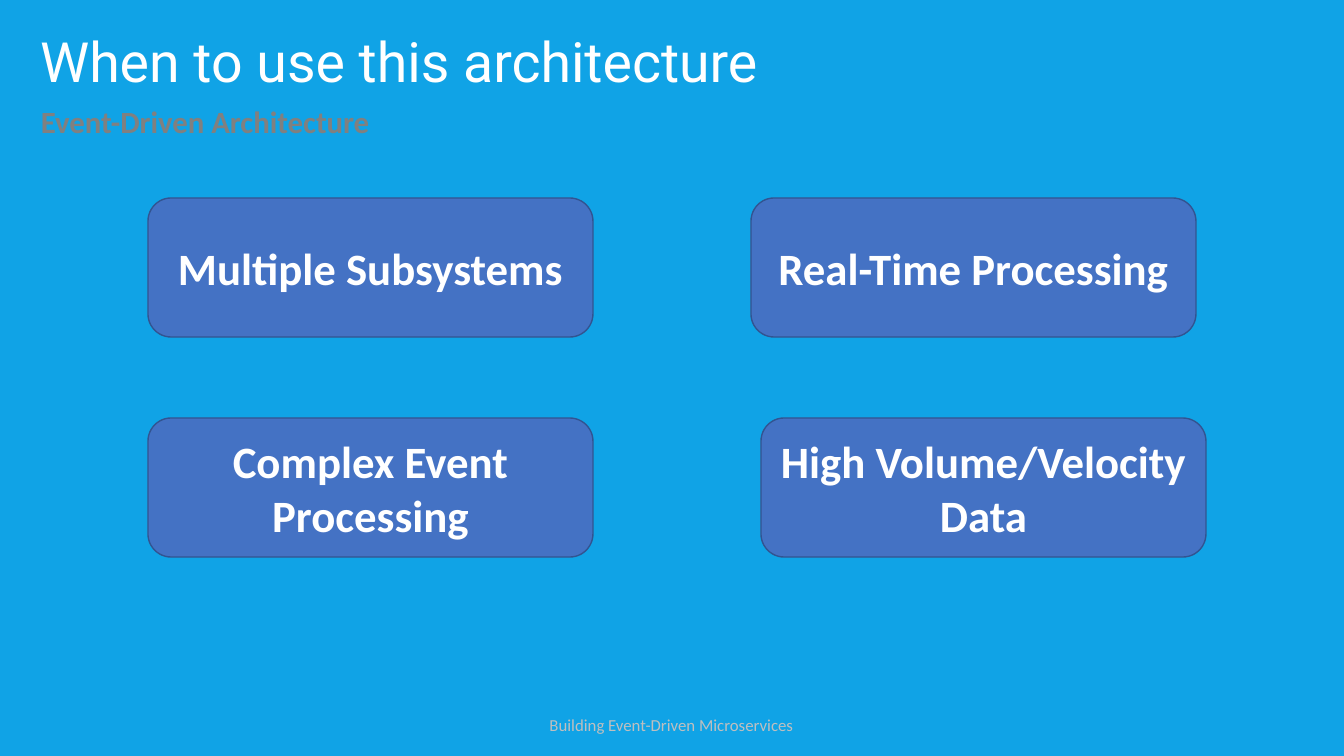
from pptx import Presentation
from pptx.dml.color import RGBColor
from pptx.enum.shapes import MSO_SHAPE
from pptx.enum.text import MSO_ANCHOR, MSO_AUTO_SIZE, PP_ALIGN
from pptx.util import Emu, Pt

ROUNDED = MSO_SHAPE.ROUNDED_RECTANGLE
MIDDLE, TOP = MSO_ANCHOR.MIDDLE, MSO_ANCHOR.TOP
LEFT, CENTER = PP_ALIGN.LEFT, PP_ALIGN.CENTER
NO_AUTOFIT = MSO_AUTO_SIZE.NONE
TITLE_ONLY = 5
EMU_PER_PX = 914400 / 100.8
SLIDE_SIZE = (1344, 756)
COLORS = {
    "background": "10A3E6",
    "card": "4472C4",
    "card_line": "325491",
    "white": "FFFFFF",
    "subtitle": "808080",
    "footer": "BFBFBF",
}
CARD_SIZE = (445, 139)
CARD_ROWS = [
    (198, [(148, "Multiple Subsystems"), (751, "Real-Time Processing")]),
    (418, [(148, "Complex Event Processing"), (761, "High Volume/Velocity Data")]),
]


def px(*lengths):
    return [Emu(round(length * EMU_PER_PX)) for length in lengths]


def color(name):
    return RGBColor.from_string(COLORS[name])


def write(shape, text, size, ink="white", font="Calibri", bold=False,
          align=LEFT, anchor=MIDDLE, spacing=1.0, wrap=True):
    frame = shape.text_frame
    frame.auto_size = NO_AUTOFIT
    frame.word_wrap = wrap
    frame.vertical_anchor = anchor
    paragraph = frame.paragraphs[0]
    paragraph.alignment = align
    paragraph.line_spacing = spacing
    run = paragraph.add_run()
    run.text = text
    run.font.name = font
    run.font.size = Pt(size)
    run.font.bold = bold
    run.font.color.rgb = color(ink)


class SlideBuilder:
    """Draws styled elements on one title-only slide."""

    def __init__(self, presentation):
        self.slide = presentation.slides.add_slide(presentation.slide_layouts[TITLE_ONLY])
        fill = self.slide.background.fill
        fill.solid()
        fill.fore_color.rgb = color("background")

    def title(self, text, left, top, width, height, **style):
        title = self.slide.shapes.title
        title.left, title.top, title.width, title.height = px(left, top, width, height)
        write(title, text, **style)

    def label(self, text, left, top, width, height, **style):
        box = self.slide.shapes.add_textbox(*px(left, top, width, height))
        write(box, text, **style)

    def card(self, text, left, top):
        card = self.slide.shapes.add_shape(ROUNDED, *px(left, top, *CARD_SIZE))
        card.shadow.inherit = False
        card.fill.solid()
        card.fill.fore_color.rgb = color("card")
        card.line.color.rgb = color("card_line")
        card.line.width = Pt(1)
        write(card, text, size=32, bold=True, align=CENTER)


def main():
    presentation = Presentation()
    presentation.slide_width, presentation.slide_height = px(*SLIDE_SIZE)
    builder = SlideBuilder(presentation)
    builder.title("When to use this architecture", 30, 27, 1281, 75,
                  size=39.6, font="Roboto", spacing=0.9)
    builder.label("Event-Driven Architecture", 31, 105, 1282, 40,
                  size=22, ink="subtitle", bold=True, spacing=0.8)
    for top, cards in CARD_ROWS:
        for left, text in cards:
            builder.card(text, left, top)
    builder.label("Building Event-Driven Microservices", 538, 710, 267, 30,
                  size=12, ink="footer", align=CENTER, anchor=TOP, wrap=False)
    presentation.save("out.pptx")


if __name__ == "__main__":
    main()
